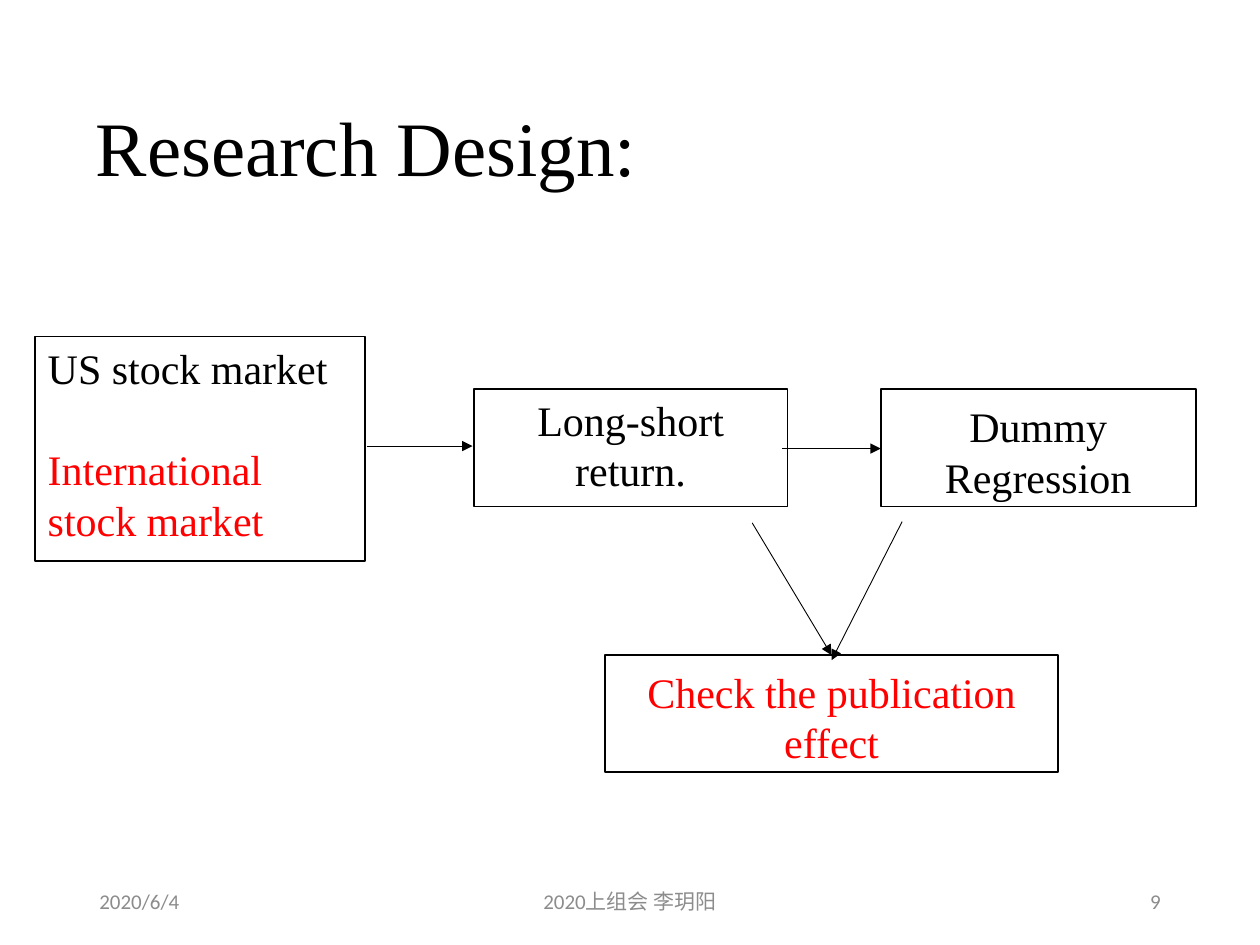
from lxml.etree import SubElement
from pptx import Presentation
from pptx.dml.color import RGBColor
from pptx.enum.shapes import MSO_CONNECTOR, MSO_SHAPE
from pptx.enum.text import MSO_ANCHOR, MSO_AUTO_SIZE, PP_ALIGN
from pptx.oxml.ns import qn
from pptx.util import Inches, Pt

COLORS = {"ink": "000000", "new": "FF0000", "foot": "8C8C8C"}
SERIF = "Times New Roman"


def color(name):
    return RGBColor.from_string(COLORS[name])


def style(para, face, size, tone, align=PP_ALIGN.LEFT):
    para.alignment = align
    para.font.name = face
    para.font.size = Pt(size)
    para.font.color.rgb = color(tone)


def add_title(slide, area, text):
    title = slide.shapes.title
    title.left, title.top, title.width, title.height = map(Inches, area)
    frame = title.text_frame
    frame.text = text
    frame.auto_size = MSO_AUTO_SIZE.NONE
    frame.vertical_anchor = MSO_ANCHOR.MIDDLE
    para = frame.paragraphs[0]
    para.line_spacing = 0.9
    style(para, SERIF, 44, "ink")


def add_foot(slide, area, text, align):
    frame = slide.shapes.add_textbox(*map(Inches, area)).text_frame
    frame.word_wrap = True
    frame.vertical_anchor = MSO_ANCHOR.MIDDLE
    frame.text = text
    style(frame.paragraphs[0], "Calibri", 12, "foot", align)


def add_step(slide, area, lines, align=PP_ALIGN.CENTER, inset=0.09):
    step = slide.shapes.add_shape(MSO_SHAPE.RECTANGLE, *map(Inches, area))
    step.shadow.inherit = False
    step.fill.background()
    step.line.color.rgb = color("ink")
    step.line.width = Pt(1)
    frame = step.text_frame
    frame.word_wrap = True
    frame.vertical_anchor = MSO_ANCHOR.TOP
    frame.margin_top = Inches(inset)
    for i, (text, tone) in enumerate(lines):
        para = frame.add_paragraph() if i else frame.paragraphs[0]
        para.text = text
        if i:
            para.space_before = Pt(29)
        style(para, SERIF, 24, tone, align)


def add_arrow(slide, start, end):
    arrow = slide.shapes.add_connector(
        MSO_CONNECTOR.STRAIGHT, *map(Inches, start + end))
    arrow.line.color.rgb = color("ink")
    arrow.line.width = Pt(0.5)
    SubElement(arrow.line._get_or_add_ln(), qn("a:tailEnd"), type="triangle")
    SubElement(arrow._element.spPr, qn("a:effectLst"))


def add_flow(slide):
    add_step(slide, (0.28, 2.67, 2.62, 1.78),
             [("US stock market", "ink"),
              ("International stock market", "new")],
             PP_ALIGN.LEFT, 0.05)
    add_step(slide, (3.76, 3.09, 2.49, 0.93),
             [("Long-short return.", "ink")], inset=0.04)
    add_step(slide, (6.99, 3.09, 2.5, 0.93), [("Dummy Regression", "ink")])
    add_step(slide, (4.8, 5.2, 3.6, 0.93),
             [("Check the publication effect", "new")])
    for start, end in (
        ((2.91, 3.54), (3.75, 3.54)),
        ((6.21, 3.56), (6.99, 3.56)),
        ((5.97, 4.15), (6.6, 5.2)),
        ((7.16, 4.14), (6.6, 5.24)),
    ):
        add_arrow(slide, start, end)


def main():
    deck = Presentation()
    deck.slide_width, deck.slide_height = Inches(10), Inches(7.5)
    slide = deck.slides.add_slide(deck.slide_layouts[5])
    add_title(slide, (0.66, 0.48, 8.62, 1.45), "Research Design:")
    add_flow(slide)
    for left, width, text, align in (
        (0.69, 2.25, "2020/6/4", PP_ALIGN.LEFT),
        (3.31, 3.38, "2020上组会 李玥阳", PP_ALIGN.CENTER),
        (7.06, 2.25, "9", PP_ALIGN.RIGHT),
    ):
        add_foot(slide, (left, 6.95, width, 0.4), text, align)
    deck.save("out.pptx")


if __name__ == "__main__":
    main()
